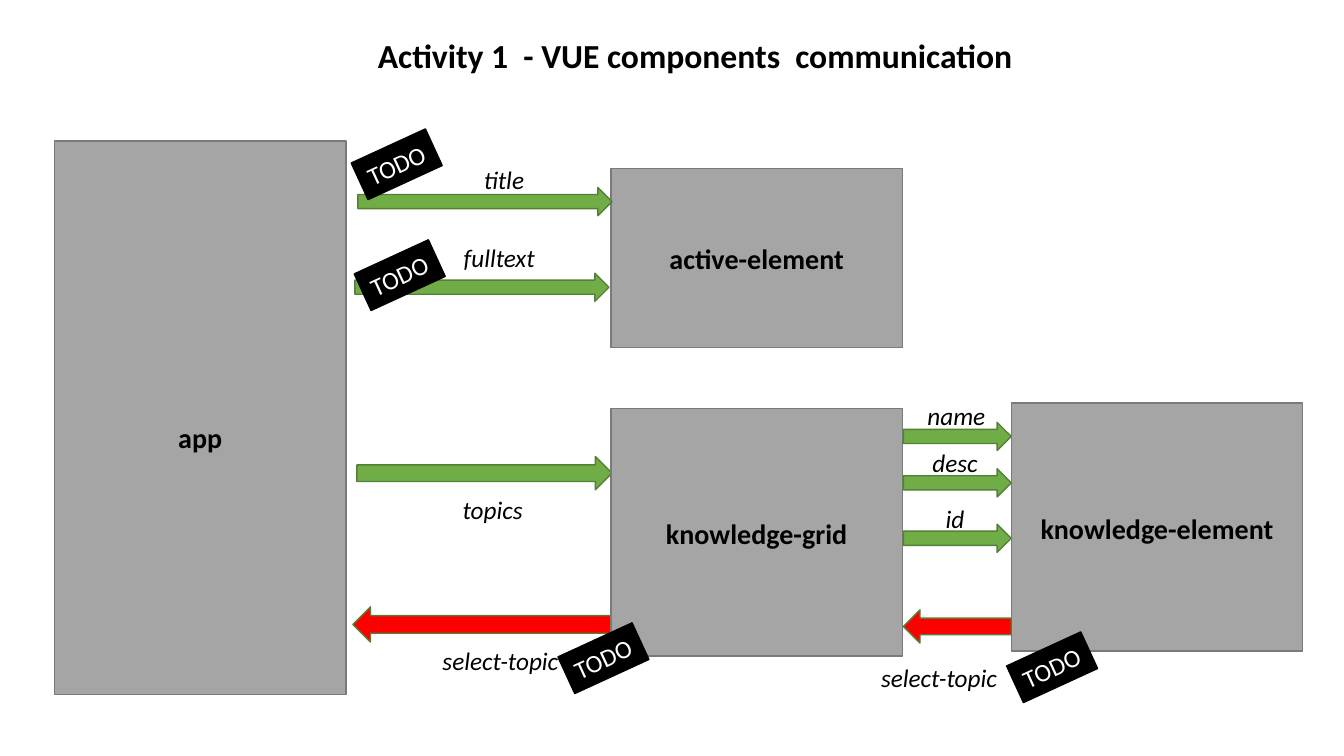
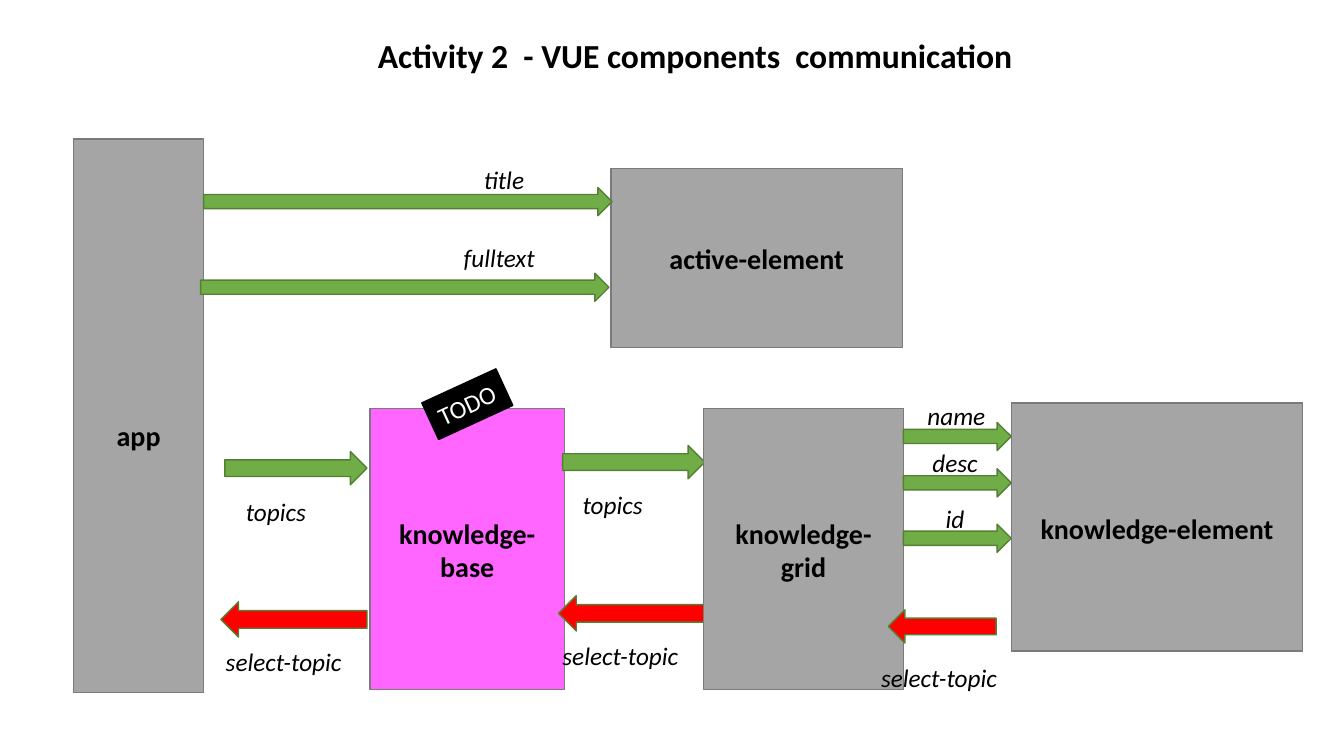
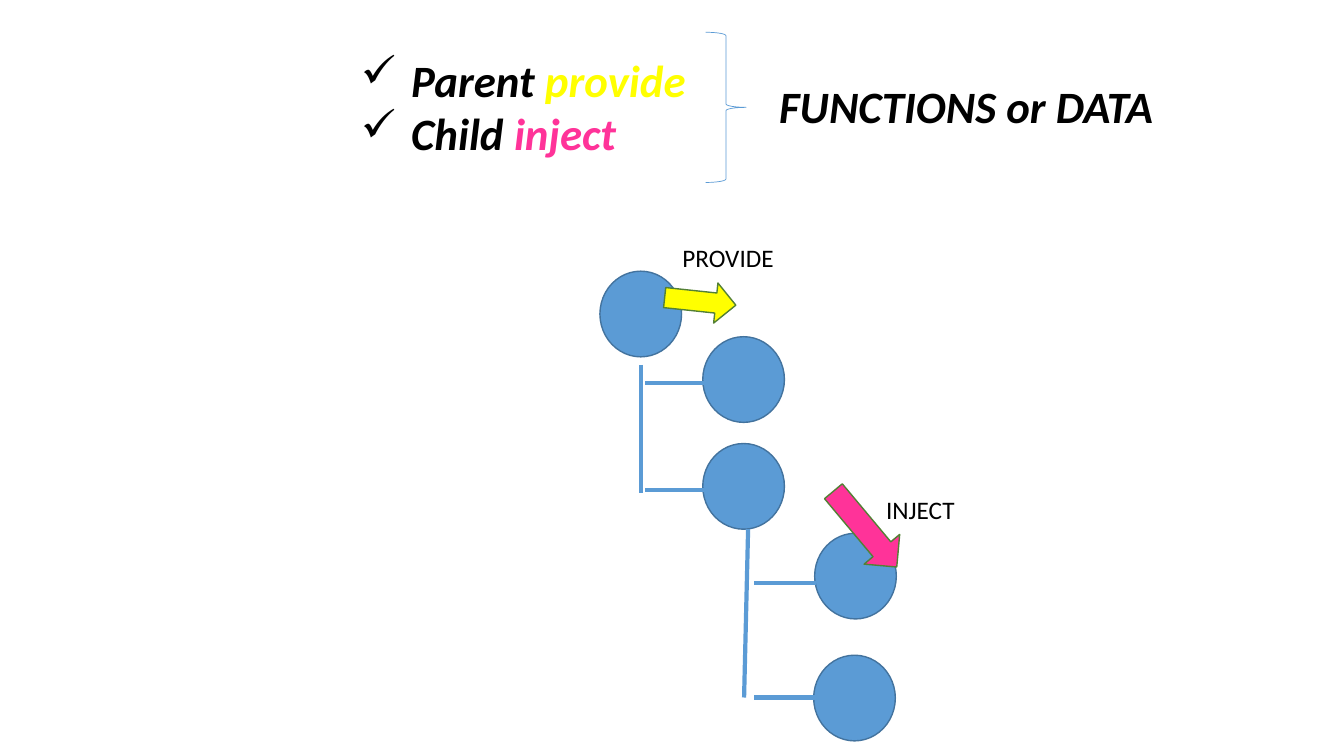
from lxml import etree
from pptx import Presentation
from pptx import util as u
from pptx.dml.color import RGBColor
from pptx.enum import shapes, text
from pptx.oxml.ns import qn

PX = 9144
FONT = "Calibri"
C = {
    "ink": "000000", "paper": "FFFFFF",
    "node": "A5A5A5", "node_line": "7A7A7A", "new_node": "FF66FF",
    "prop": "70AD47", "event": "FF0000", "arrow_line": "538035",
    "circle": "5B9BD5", "circle_line": "43739E",
    "provide": "FFFF00", "inject": "FF3399",
}
SHAPE = shapes.MSO_SHAPE
ALIGN = text.PP_ALIGN
TITLE_BOX = (365, 30, 656, 50)
ACTIVE_BOX = (606, 167, 289, 178)
ELEMENT_BOX = (1003, 400, 289, 246)


def emu(*lengths):
    """Turn px lengths into EMU."""
    return [u.Emu(n * PX) for n in lengths]


def rgb(name):
    """Look up a palette colour."""
    return RGBColor.from_string(C[name])


def style(r, size, color="ink", bold=False, italic=False):
    """Format one run."""
    r.font.name, r.font.size = FONT, u.Pt(size)
    r.font.bold, r.font.italic = bold, italic
    r.font.color.rgb = rgb(color)


def write(sp, content, size, align=ALIGN.LEFT, wrap=False, **look):
    """Put top-anchored text in a shape and format it."""
    tf = sp.text_frame
    tf.text = content
    tf.word_wrap = wrap
    tf.vertical_anchor = text.MSO_ANCHOR.TOP
    for p in tf.paragraphs:
        p.alignment = align
        for r in p.runs:
            style(r, size, **look)
    return tf


def draw(s, kind, box, fill, line, width=1, rot=0):
    """Add a preset shape without shadow."""
    sp = s.shapes.add_shape(kind, *emu(*box))
    sp.shadow.inherit = False
    sp.rotation = rot
    if fill:
        sp.fill.solid()
        sp.fill.fore_color.rgb = rgb(fill)
    else:
        sp.fill.background()
    sp.line.color.rgb = rgb(line)
    sp.line.width = u.Pt(width)
    return sp


def label(s, box, content, size=18, **look):
    """Add a one-line text box."""
    write(s.shapes.add_textbox(*emu(*box)), content, size, **look)


def arrow(s, box, color, rot=0):
    """Add a block arrow."""
    draw(s, SHAPE.RIGHT_ARROW, box, color, "arrow_line", rot=rot)


def node(s, box, name, lines, fill="node"):
    """Add a component box with its name a number of lines down."""
    sp = draw(s, SHAPE.RECTANGLE, box, fill, "node_line")
    tf = write(sp, name, 20, ALIGN.CENTER, True, bold=True)
    tf.margin_top, = emu(5 + 34 * lines)


def todo(s, x, y):
    """Add a tilted TODO tag."""
    sp = draw(s, SHAPE.RECTANGLE, (x, y, 81, 40), "ink", "ink", rot=335.3)
    write(sp, "TODO", 18, color="paper")


def line(s, x1, y1, x2, y2):
    """Add a tree branch."""
    cx = s.shapes.add_connector(shapes.MSO_CONNECTOR.STRAIGHT, *emu(x1, y1, x2, y2))
    cx.line.color.rgb = rgb("circle")
    cx.line.width = u.Pt(3)
    etree.SubElement(cx._element.spPr, qn("a:effectLst"))


def exchange(s, box, dx, dy):
    """Add topics going right and select-topic coming back, with labels."""
    x, y, w, h = box
    arrow(s, (x, y + h - 35, w, 35), "event", 180)
    label(s, (x + dx, y + dy + 149, 139, 40), "select-topic", italic=True)
    arrow(s, (x + 4, y, w - 4, 33), "prop")
    label(s, (x + dx + 20, y + dy, 81, 40), "topics", italic=True)


def element_region(s, box, event_dx):
    """Add knowledge-element with its props and its event."""
    x, y, _, _ = box
    node(s, box, "knowledge-element", 3)
    for dy in (19, 65, 120):
        arrow(s, (x - 107, y + dy, 107, 28), "prop")
    arrow(s, (x + event_dx, y + 205, 107, 33), "event", 180)
    label(s, (x - 139, y + 252, 139, 40), "select-topic", italic=True)
    for name, dx, dy, w in (("name", -93, -8, 78), ("desc", -88, 39, 66), ("id", -75, 94, 39)):
        label(s, (x + dx, y + dy, w, 40), name, italic=True)


def active_region(s, box, reach):
    """Add active-element with its two incoming props."""
    x, y, _, _ = box
    node(s, box, "active-element", 2)
    for dx, dy in ((1, 19), (-2, 104)):
        arrow(s, (x + dx - reach, y + dy, reach, 28), "prop")
    for name, dx, dy, w in (("title", -136, -9, 61), ("fulltext", -156, 69, 92)):
        label(s, (x + dx, y + dy, w, 40), name, italic=True)


def title(s, number):
    """Add the heading of an activity slide."""
    label(s, TITLE_BOX, f"Activity {number}  - VUE components  communication", 24, bold=True)


def activity_one(s):
    """Fill the first activity slide."""
    node(s, (54, 140, 289, 549), "app", 8)
    exchange(s, (350, 453, 257, 184), 79, 33)
    node(s, (606, 405, 289, 246), "knowledge-grid", 3)
    element_region(s, ELEMENT_BOX, -107)
    active_region(s, ACTIVE_BOX, 252)
    title(s, 1)
    for x, y in ((1003, 642), (558, 633), (353, 143), (356, 253)):
        todo(s, x, y)


def activity_two(s):
    """Fill the second activity slide."""
    node(s, (367, 405, 193, 279), "knowledge-base", 3, "new_node")
    node(s, (73, 138, 129, 549), "app", 8)
    exchange(s, (554, 442, 145, 184), -6, 39)
    node(s, (698, 405, 198, 279), "knowledge-grid", 3)
    element_region(s, ELEMENT_BOX, -122)
    active_region(s, ACTIVE_BOX, 405)
    title(s, 2)
    todo(s, 423, 381)
    exchange(s, (219, 448, 145, 184), -5, 39)


def summary(s, box):
    """Add the checked list, the brace and what is shared."""
    x, y, w, h = box
    sp = s.shapes.add_textbox(*emu(x, y + 15, 482, 118))
    tf = write(sp, "Parent \nChild ", 32, wrap=True, bold=True, italic=True)
    for p, word in zip(tf.paragraphs, ("provide", "inject")):
        r = p.add_run()
        r.text = word
        style(r, 32, word, True, True)
        pPr = p._p.get_or_add_pPr()
        pPr.set("marL", str(50 * PX))
        pPr.set("indent", str(-50 * PX))
        etree.SubElement(pPr, qn("a:buChar")).set("char", "✓")
    label(s, (x + w - 395, y + 41, 395, 64), "FUNCTIONS or DATA", 32, bold=True, italic=True)
    draw(s, SHAPE.RIGHT_BRACE, (x + 352, y, 40, h), None, "circle", 0.5)


def tree(s, box):
    """Add the component tree with its provide and inject arrows."""
    x, y, _, _ = box
    for dx, dy in ((0, 0), (102, 65), (102, 171), (213, 260), (212, 381)):
        draw(s, SHAPE.OVAL, (x + dx, y + dy, 81, 85), "circle", "circle_line")
    for x1, y1, x2, y2 in ((147, 256, 143, 423), (41, 93, 41, 220)):
        line(s, x + x1, y + y1, x + x2, y + y2)
    for dx, dy in ((45, 217), (45, 111), (153, 309), (153, 423)):
        line(s, x + dx + 61, y + dy, x + dx, y + dy)
    arrow(s, (x + 214, y + 233, 98, 46), "inject", 50.1)
    arrow(s, (x + 64, y + 10, 71, 40), "provide", 6.1)
    label(s, (x + 72, y - 34, 112, 40), "PROVIDE")
    label(s, (x + 274, y + 217, 89, 40), "INJECT")


def provide_inject(s):
    """Fill the provide and inject slide."""
    summary(s, (348, 32, 810, 149))
    tree(s, (595, 269, 294, 466))


def main():
    """Build and save the presentation."""
    prs = Presentation()
    prs.slide_width, prs.slide_height = emu(1333, 750)
    for fill_slide in (activity_one, activity_two, provide_inject):
        fill_slide(prs.slides.add_slide(prs.slide_layouts[6]))
    prs.save("out.pptx")


if __name__ == "__main__":
    main()
